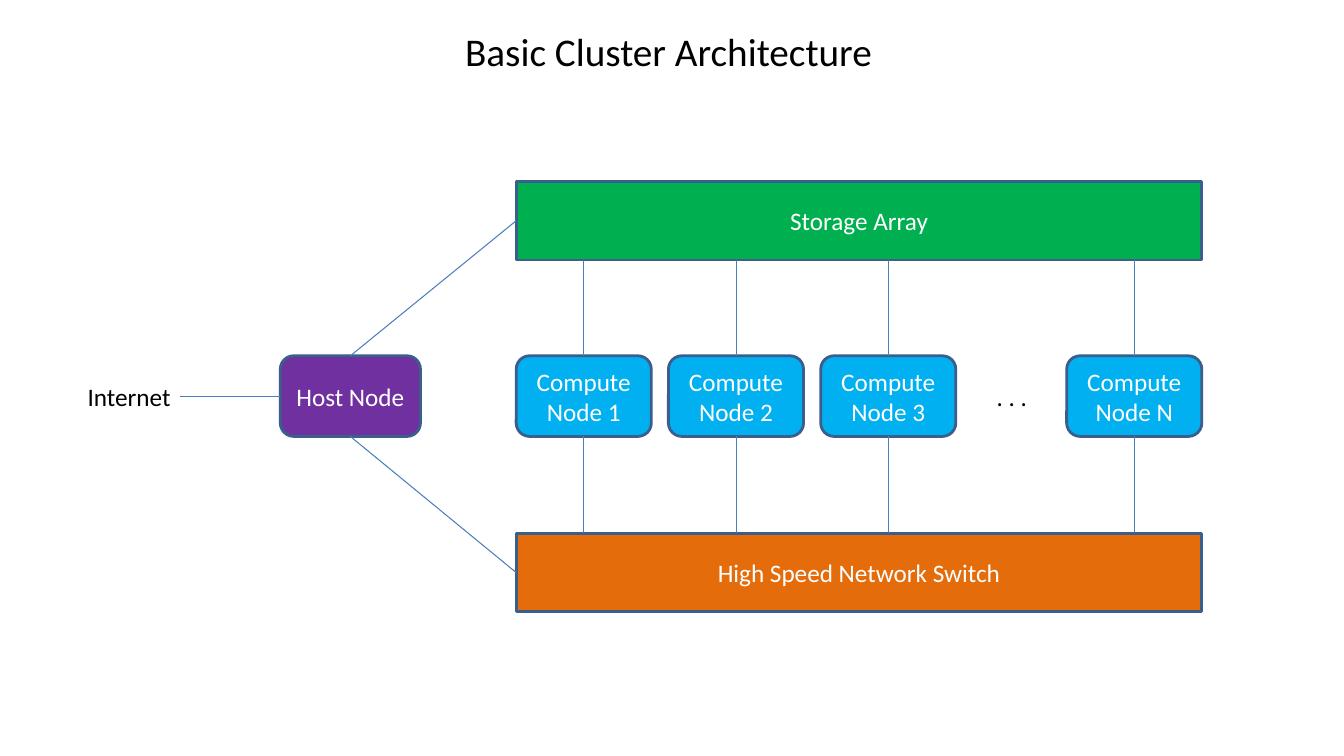
from dataclasses import dataclass

import pptx
import pptx.dml.color
import pptx.enum.shapes
import pptx.enum.text
import pptx.oxml
import pptx.oxml.ns
import pptx.util
from pptx.util import Inches

SHAPES = pptx.enum.shapes.MSO_SHAPE
ALIGN = pptx.enum.text.PP_ALIGN
ANCHOR = pptx.enum.text.MSO_ANCHOR
TOP, LEFT, BOTTOM = 0, 1, 2


@dataclass(frozen=True)
class Theme:
    font: str = "Calibri"
    title_size: int = 28
    body_size: int = 18
    ink: str = "000000"
    light: str = "FFFFFF"
    outline: str = "3A5F8C"
    link: str = "4A7EBB"
    host: str = "7030A0"
    compute: str = "00B0F0"
    storage: str = "00B050"
    switch: str = "E46C0A"
    outline_width: float = 2
    link_width: float = 0.75


@dataclass(frozen=True)
class Box:
    text: str
    left: float
    top: float
    width: float
    height: float
    fill: str = ""
    rounded: bool = False

    @property
    def frame(self) -> tuple:
        return tuple(Inches(v) for v in (self.left, self.top, self.width, self.height))

    @property
    def middle_x(self) -> float:
        return self.left + self.width / 2

    @property
    def middle_y(self) -> float:
        return self.top + self.height / 2

    @property
    def bottom(self) -> float:
        return self.top + self.height


THEME = Theme()
BAR_LEFT, BAR_WIDTH, BAR_HEIGHT = 5.12, 6.8, 0.78
NODE_TOP, NODE_WIDTH, NODE_HEIGHT, NODE_PITCH = 3.53, 1.34, 0.8, 1.51

TITLE = Box("Basic Cluster Architecture", 4.5, 0.22, 4.26, 0.43)
INTERNET = Box("Internet", 0.77, 3.73, 1.02, 0.4)
ELLIPSIS = Box(" . . .", 9.73, 3.73, 0.61, 0.4)
HOST = Box("Host Node", 2.78, NODE_TOP, 1.39, NODE_HEIGHT, THEME.host, True)
STORAGE = Box("Storage Array", BAR_LEFT, 1.8, BAR_WIDTH, BAR_HEIGHT, THEME.storage)
SWITCH = Box("High Speed Network Switch", BAR_LEFT, 5.29, BAR_WIDTH, BAR_HEIGHT, THEME.switch)
NODE_LEFTS = {str(i + 1): BAR_LEFT + i * NODE_PITCH for i in range(3)}
NODE_LEFTS["N"] = BAR_LEFT + BAR_WIDTH - NODE_WIDTH
COMPUTE_NODES = [
    Box(f"Compute\nNode {name}", left, NODE_TOP, NODE_WIDTH, NODE_HEIGHT, THEME.compute, True)
    for name, left in NODE_LEFTS.items()
]


def rgb(code: str) -> pptx.dml.color.RGBColor:
    return pptx.dml.color.RGBColor.from_string(code)


def write_text(shape, text: str, size: int, color: str, align) -> None:
    shape.text_frame.text = text
    for para in shape.text_frame.paragraphs:
        para.alignment = align
        para.font.name = THEME.font
        para.font.size = pptx.util.Pt(size)
        para.font.color.rgb = rgb(color)


def draw_title(page, box: Box) -> None:
    title = page.shapes.title
    title.left, title.top, title.width, title.height = box.frame
    write_text(title, box.text, THEME.title_size, THEME.ink, ALIGN.CENTER)
    title.text_frame.word_wrap = False
    title.text_frame.auto_size = pptx.enum.text.MSO_AUTO_SIZE.NONE
    title.text_frame.vertical_anchor = ANCHOR.TOP


def draw_label(page, box: Box) -> None:
    label = page.shapes.add_textbox(*box.frame)
    label.text_frame.word_wrap = False
    write_text(label, box.text, THEME.body_size, THEME.ink, ALIGN.LEFT)


def draw_box(page, box: Box):
    kind = SHAPES.ROUNDED_RECTANGLE if box.rounded else SHAPES.RECTANGLE
    shape = page.shapes.add_shape(kind, *box.frame)
    shape.shadow.inherit = False
    shape.fill.solid()
    shape.fill.fore_color.rgb = rgb(box.fill)
    shape.line.color.rgb = rgb(THEME.outline)
    shape.line.width = pptx.util.Pt(THEME.outline_width)
    shape.text_frame.vertical_anchor = ANCHOR.MIDDLE
    write_text(shape, box.text, THEME.body_size, THEME.light, ALIGN.CENTER)
    return shape


def draw_link(page, start: tuple[float, float], end: tuple[float, float]):
    link = page.shapes.add_connector(
        pptx.enum.shapes.MSO_CONNECTOR.STRAIGHT, *(Inches(v) for v in start + end)
    )
    link.line.color.rgb = rgb(THEME.link)
    link.line.width = pptx.util.Pt(THEME.link_width)
    properties = link._element.spPr
    properties.append(pptx.oxml.parse_xml(f"<a:effectLst {pptx.oxml.ns.nsdecls('a')}/>"))
    return link


def main() -> None:
    deck = pptx.Presentation()
    deck.slide_width, deck.slide_height = Inches(13.33), Inches(7.5)
    page = deck.slides.add_slide(deck.slide_layouts.get_by_name("Title Only"))

    draw_title(page, TITLE)
    draw_label(page, INTERNET)
    draw_label(page, ELLIPSIS)
    host = draw_box(page, HOST)

    for bar, host_side, host_y, bar_y in (
        (STORAGE, TOP, HOST.top, STORAGE.bottom),
        (SWITCH, BOTTOM, HOST.bottom, SWITCH.top),
    ):
        bar_shape = draw_box(page, bar)
        link = draw_link(page, (HOST.middle_x, host_y), (bar.left, bar.middle_y))
        link.begin_connect(host, host_side)
        link.end_connect(bar_shape, LEFT)

    for node in COMPUTE_NODES:
        node_shape = draw_box(page, node)
        for side, node_y, bar_y in (
            (TOP, node.top, STORAGE.bottom),
            (BOTTOM, node.bottom, SWITCH.top),
        ):
            link = draw_link(page, (node.middle_x, node_y), (node.middle_x, bar_y))
            link.begin_connect(node_shape, side)

    internet_link = draw_link(
        page, (INTERNET.left + INTERNET.width, HOST.middle_y), (HOST.left, HOST.middle_y)
    )
    internet_link.end_connect(host, LEFT)

    deck.save("out.pptx")


if __name__ == "__main__":
    main()
